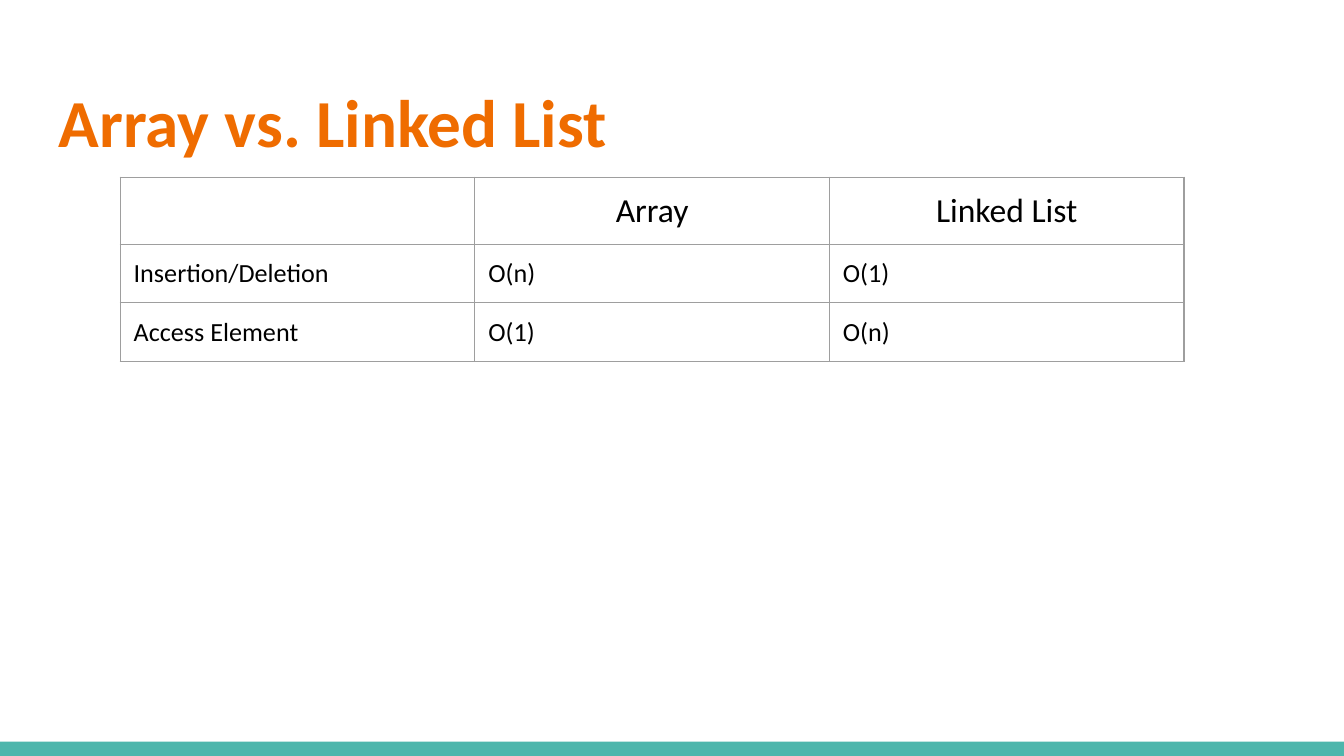
import pptx
import pptx.dml.color
import pptx.enum.shapes
import pptx.enum.text
import pptx.oxml
import pptx.oxml.ns
import pptx.util

Pt = pptx.util.Pt
ALIGN = pptx.enum.text.PP_ALIGN


def rgb(value):
    return pptx.dml.color.RGBColor.from_string(value)


class Deck:
    """Slide builder with a shared font and palette."""

    font = "Calibri"
    accent, bar, ink, grid = "EF6C00", "4DB6AC", "000000", "9E9E9E"

    def __init__(self, width, height):
        self.prs = pptx.Presentation()
        self.prs.slide_width, self.prs.slide_height = Pt(width), Pt(height)
        self.s = self.prs.slides.add_slide(self.prs.slide_layouts[6])

    def run(self, p, text, size, color, bold=False):
        r = p.add_run()
        r.text = text
        r.font.name, r.font.size, r.font.bold = self.font, Pt(size), bold
        r.font.color.rgb = rgb(color)

    def rect(self, x, y, w, h, color):
        kind = pptx.enum.shapes.MSO_SHAPE.RECTANGLE
        sp = self.s.shapes.add_shape(kind, Pt(x), Pt(y), Pt(w), Pt(h))
        sp.shadow.inherit = False
        sp.fill.solid()
        sp.fill.fore_color.rgb = rgb(color)
        sp.line.fill.background()

    def title(self, text, x, y, w, h):
        tf = self.s.shapes.add_textbox(Pt(x), Pt(y), Pt(w), Pt(h)).text_frame
        tf.word_wrap = True
        tf.margin_left = tf.margin_right = tf.margin_bottom = Pt(7.2)
        tf.margin_top = Pt(8)
        self.run(tf.paragraphs[0], text, 36, self.accent, bold=True)

    def borders(self, cell):
        props = cell._tc.get_or_add_tcPr()
        for i, side in enumerate(("lnL", "lnR", "lnT", "lnB")):
            props.insert(i, pptx.oxml.parse_xml(
                f'<a:{side} {pptx.oxml.ns.nsdecls("a")} w="{Pt(0.75)}"><a:solidFill>'
                f'<a:srgbClr val="{self.grid}"/></a:solidFill></a:{side}>'))

    def table(self, rows, x, y, col_width, row_height):
        n, m = len(rows), len(rows[0])
        frame = self.s.shapes.add_table(
            n, m, Pt(x), Pt(y), Pt(m * col_width), Pt(n * row_height))
        table = frame.table
        table.first_row = table.horz_banding = False
        for col in table.columns:
            col.width = Pt(col_width)
        for i, row in enumerate(rows):
            table.rows[i].height = Pt(row_height)
            for j, text in enumerate(row):
                cell = table.cell(i, j)
                cell.fill.background()
                cell.margin_left = cell.margin_right = Pt(7.2)
                cell.margin_top = cell.margin_bottom = Pt(7.2)
                self.borders(cell)
                if text:
                    p = cell.text_frame.paragraphs[0]
                    p.alignment = ALIGN.LEFT if i else ALIGN.CENTER
                    self.run(p, text, 14 if i else 18, self.ink)


def main():
    deck = Deck(720, 405)
    deck.rect(0, 397.3, 720, 7.7, deck.bar)
    deck.title("Array vs. Linked List", 24.5, 35.3, 671, 55.4)
    deck.table([
        ("", "Array", "Linked List"),
        ("Insertion/Deletion", "O(n)", "O(1)"),
        ("Access Element", "O(1)", "O(n)"),
    ], 64.4, 95, 190, 30.24)
    deck.prs.save("out.pptx")


if __name__ == "__main__":
    main()
